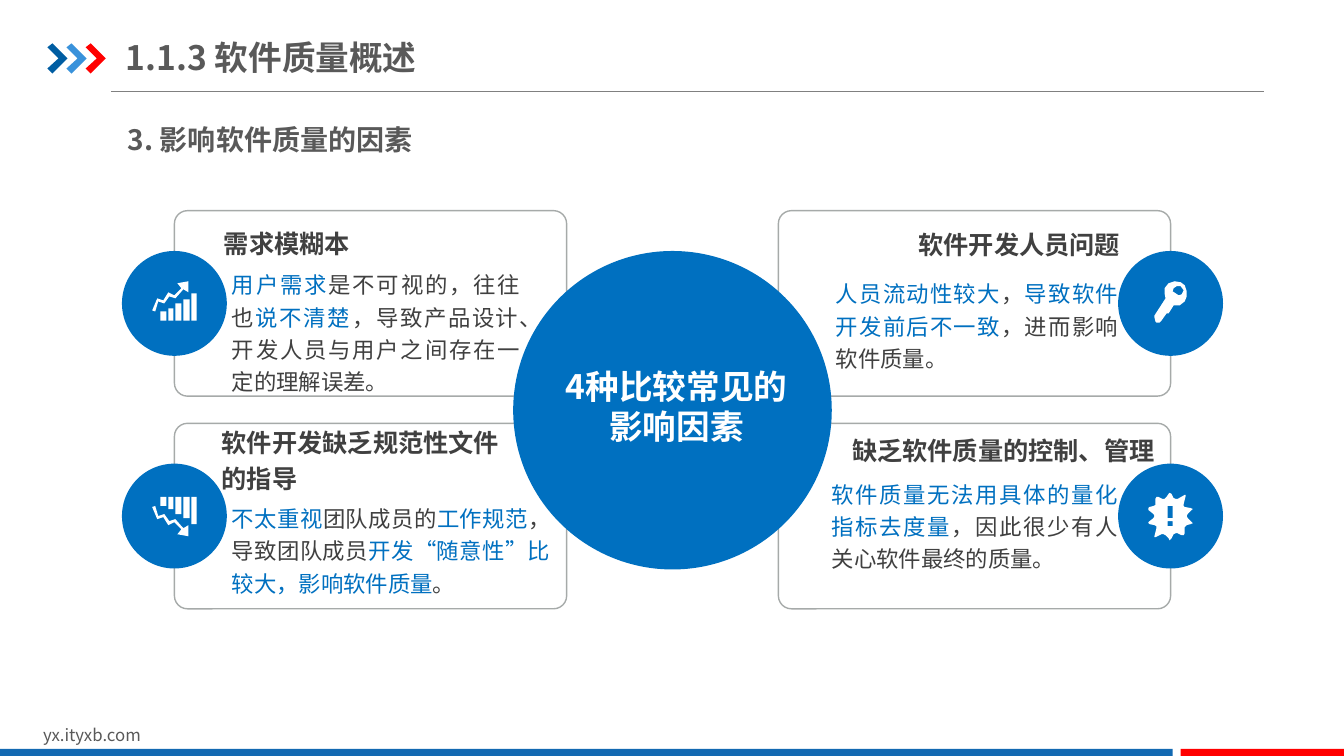
from pptx import Presentation
from pptx.dml.color import RGBColor
from pptx.enum.lang import MSO_LANGUAGE_ID
from pptx.enum.shapes import MSO_CONNECTOR, MSO_SHAPE
from pptx.enum.text import MSO_ANCHOR, PP_ALIGN
from pptx.oxml.ns import qn
from lxml.etree import SubElement

PX = 9144  # EMU per px, 100 px to the inch
FONT = "Noto Sans CJK SC"
WHITE = RGBColor(0xFF, 0xFF, 0xFF)
GREY = RGBColor(0x59, 0x59, 0x59)
DARK = RGBColor(0x40, 0x40, 0x40)
RULE = RGBColor(0x80, 0x80, 0x80)
BORDER = RGBColor(0xA6, 0xAA, 0xA9)
BLUE = RGBColor(0x00, 0x70, 0xC0)
NAVY = RGBColor(0x00, 0x5D, 0xA2)
SKY = RGBColor(0x39, 0x92, 0xDB)
BAR_BLUE = RGBColor(0x13, 0x69, 0xB2)
RED = RGBColor(0xFF, 0x00, 0x00)

CARD_WIDTH, CARD_HEIGHT = 389, 184
BADGE = 104

# Icon outlines, in px from the top left of each icon
CHEVRON = [[(0, 4), (5, 0), (20, 15), (5, 30), (0, 25), (11, 15)]]
TREND = [(17, 15), (23, 17), (30, 9), (31, 8), (36, 11), (36, 0), (25, 2), (29, 7),
         (22, 14), (16, 11), (11, 19), (5, 17), (0, 29), (3, 30), (6, 20), (12, 22)]
BARS = [[(left, 39), (left, top), (right, top), (right, 39)]
        for left, right, top in [(8, 14, 30), (16, 21, 27), (23, 29, 22),
                                 (31, 37, 18), (39, 44, 12)]]
RISING = [TREND] + BARS
FALLING = [[(x, 39 - y) for x, y in outline] for outline in RISING]
KEY = [[(32, 10), (30, 4), (26, 1), (20, 0), (14, 2), (10, 7), (10, 12), (11, 17),
        (0, 34), (0, 36), (1, 40), (2, 41), (5, 41), (7, 39), (12, 32), (14, 32),
        (19, 24), (25, 24), (30, 20), (32, 15)],
       [(27, 13), (24, 14), (21, 12), (18, 10), (19, 7), (22, 5), (26, 5), (29, 9)]]
ALERT = [[(43, 29), (39, 25), (38, 23), (39, 21), (43, 17), (44, 16), (42, 15), (36, 14),
          (35, 13), (35, 11), (37, 3), (37, 2), (36, 2), (29, 6), (27, 6), (25, 5),
          (23, 1), (21, 0), (20, 1), (18, 4), (16, 6), (14, 6), (10, 4), (8, 4), (7, 6),
          (7, 10), (7, 12), (5, 13), (1, 14), (0, 15), (0, 17), (5, 21), (6, 23),
          (5, 25), (0, 29), (0, 30), (1, 31), (6, 32), (8, 33), (8, 35), (6, 43),
          (6, 44), (7, 44), (13, 41), (15, 41), (17, 42), (20, 45), (21, 47), (23, 45),
          (25, 41), (27, 40), (29, 40), (33, 42), (35, 42), (36, 40), (36, 36),
          (36, 34), (38, 32), (42, 31), (44, 30)],
         [(19, 13), (24, 13), (24, 25), (19, 25)],
         [(19, 28), (24, 28), (24, 33), (19, 33)]]

# Card corner, side, heading and its box, body and its box (boxes from the card corner), icon
CARDS = [
    ((173, 209), "left", "需求模糊本", (49, 8, 204, 44),
     "*用户需求*是不可视的，往往也*说不清楚*，导致产品设计、开发人员与用户之间存在一定的理解误差。",
     (57, 55, 286, 125), RISING, (30, 30)),
    ((173, 420), "left", "软件开发缺乏规范性文件的指导", (47, 9, 277, 50),
     "*不太重视*团队成员的*工作规范*，导致团队成员*开发“随意性”比较大，影响软件质量*。",
     (57, 76, 316, 92), FALLING, (30, 33)),
    ((772, 209), "right", "软件开发人员问题", (135, 12, 204, 44),
     "*人员流动性较大*，*导致软件开发前后不一致*，进而影响软件质量。",
     (57, 64, 280, 98), KEY, (36, 30)),
    ((772, 420), "right", "缺乏软件质量的控制、管理", (71, 5, 302, 44),
     "*软件质量无法用具体的量化指标去度量*，因此很少有人关心软件最终的质量。",
     (53, 52, 284, 124), ALERT, (30, 29)),
]


def add_text(page, box, text, size, color=DARK, accent=BLUE, bold=False,
             align=PP_ALIGN.LEFT, anchor=MSO_ANCHOR.TOP, spacing=None, insets=(0, 0)):
    """Text between asterisks takes the accent colour."""
    frame = page.shapes.add_textbox(*(n * PX for n in box)).text_frame
    frame.word_wrap = True
    frame.vertical_anchor = anchor
    frame.margin_left = frame.margin_right = insets[0] * PX
    frame.margin_top = frame.margin_bottom = insets[1] * PX
    para = frame.paragraphs[0]
    para.alignment = align
    if spacing:
        para.line_spacing = spacing
    for index, part in enumerate(text.split("*")):
        if not part:
            continue
        span = para.add_run()
        span.text = part
        span.font.size = size * 12700
        span.font.bold = bold
        span.font.color.rgb = accent if index % 2 else color
        span.font.language_id = MSO_LANGUAGE_ID.SIMPLIFIED_CHINESE
        span.font.name = FONT
        SubElement(span.font._element, qn("a:ea"), typeface=FONT)


def add_filled(page, kind, box, color):
    shape = page.shapes.add_shape(kind, *(n * PX for n in box))
    shape.shadow.inherit = False
    shape.fill.solid()
    shape.fill.fore_color.rgb = color
    shape.line.fill.background()


def add_outline(page, left, top, outlines, color):
    builder = page.shapes.build_freeform(*outlines[0][0], scale=PX)
    for index, outline in enumerate(outlines):
        if index:
            builder.move_to(*outline[0])
        builder.add_line_segments(outline[1:], close=True)
    shape = builder.convert_to_shape(left * PX, top * PX)
    shape.shadow.inherit = False
    shape.fill.solid()
    shape.fill.fore_color.rgb = color
    shape.line.fill.background()


def add_header(page, left, top):
    rule = page.shapes.add_connector(MSO_CONNECTOR.STRAIGHT, (left + 63) * PX, (top + 48) * PX,
                                     (left + 1207) * PX, (top + 48) * PX)
    rule.line.color.rgb = RULE
    rule.line.width = 9525
    SubElement(rule._element.spPr, qn("a:effectLst"))
    for index, color in enumerate((NAVY, SKY, RED)):
        add_outline(page, left + 19 * index, top, CHEVRON, color)
    add_text(page, (left + 78, top - 14, 426, 55), "1.1.3 软件质量概述", 24, GREY,
             bold=True, anchor=MSO_ANCHOR.MIDDLE, insets=(0, 7))
    add_text(page, (left + 70, top + 57, 1099, 68), "3. 影响软件质量的因素", 20, GREY,
             bold=True, align=PP_ALIGN.JUSTIFY, spacing=1.5, insets=(10, 5))


def add_footer(page, top):
    add_text(page, (33, top - 29, 318, 30), "yx.ityxb.com", 12, GREY, insets=(10, 5))
    add_filled(page, MSO_SHAPE.RECTANGLE, (0, top, 1163, 7), BAR_BLUE)
    add_filled(page, MSO_SHAPE.RECTANGLE, (1171, top, 162, 7), RED)


def add_card_frame(page, left, top):
    frame = page.shapes.add_shape(MSO_SHAPE.ROUNDED_RECTANGLE, left * PX, top * PX,
                                  CARD_WIDTH * PX, CARD_HEIGHT * PX)
    frame.adjustments[0] = 0.07
    frame.shadow.inherit = False
    frame.fill.background()
    frame.line.color.rgb = BORDER
    frame.line.width = 12700


def add_card_content(page, corner, side, heading, heading_box, body, body_box, icon, icon_offset):
    left, top = corner

    def place(box):
        return (left + box[0], top + box[1], box[2], box[3])

    on_left = side == "left"
    add_text(page, place(body_box), body, 16, align=PP_ALIGN.JUSTIFY, spacing=1.2)
    add_text(page, place(heading_box), heading, 18, bold=True, anchor=MSO_ANCHOR.MIDDLE,
             align=PP_ALIGN.LEFT if on_left else PP_ALIGN.RIGHT,
             spacing=1.2 if on_left else None)
    # Round badge centred on the outer edge
    badge_left = left - BADGE // 2 + (0 if on_left else CARD_WIDTH)
    badge_top = top + (CARD_HEIGHT - BADGE) // 2
    add_filled(page, MSO_SHAPE.OVAL, (badge_left, badge_top, BADGE, BADGE), BLUE)
    add_outline(page, badge_left + icon_offset[0], badge_top + icon_offset[1], icon, WHITE)


def add_hub(page, left, top, size):
    add_filled(page, MSO_SHAPE.OVAL, (left, top, size, size), BLUE)
    add_text(page, (left + 44, top + 104, 236, 99), "4种比较常见的影响因素", 24, WHITE,
             bold=True, align=PP_ALIGN.CENTER, anchor=MSO_ANCHOR.MIDDLE)


def main():
    deck = Presentation()
    deck.slide_width, deck.slide_height = 1333 * PX, 750 * PX
    page = deck.slides.add_slide(deck.slide_layouts[6])
    add_header(page, 47, 43)
    add_footer(page, 743)
    for card in CARDS:
        add_card_frame(page, *card[0])
    add_hub(page, 509, 249, 316)
    for card in CARDS:
        add_card_content(page, *card)
    deck.save("out.pptx")


if __name__ == "__main__":
    main()
